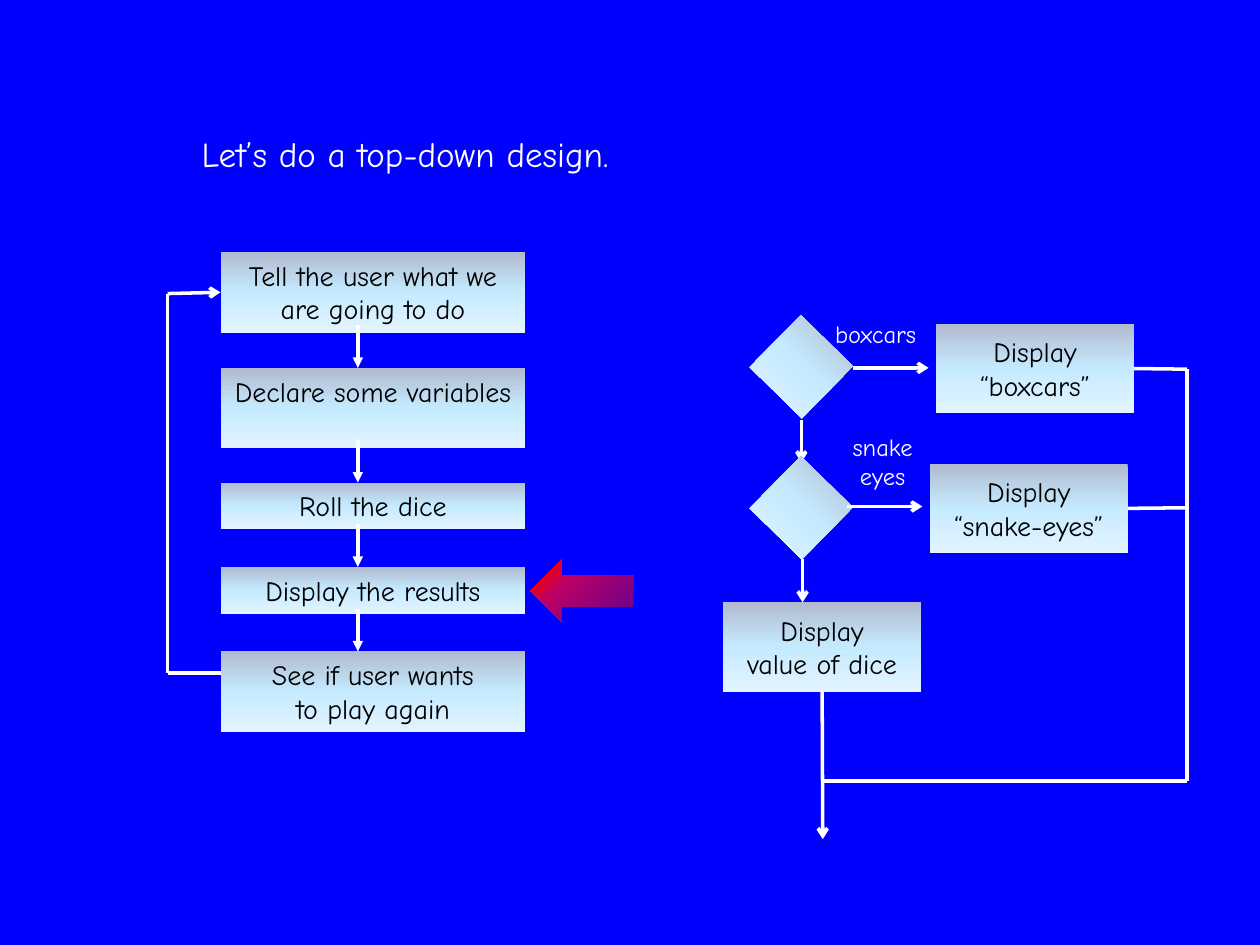
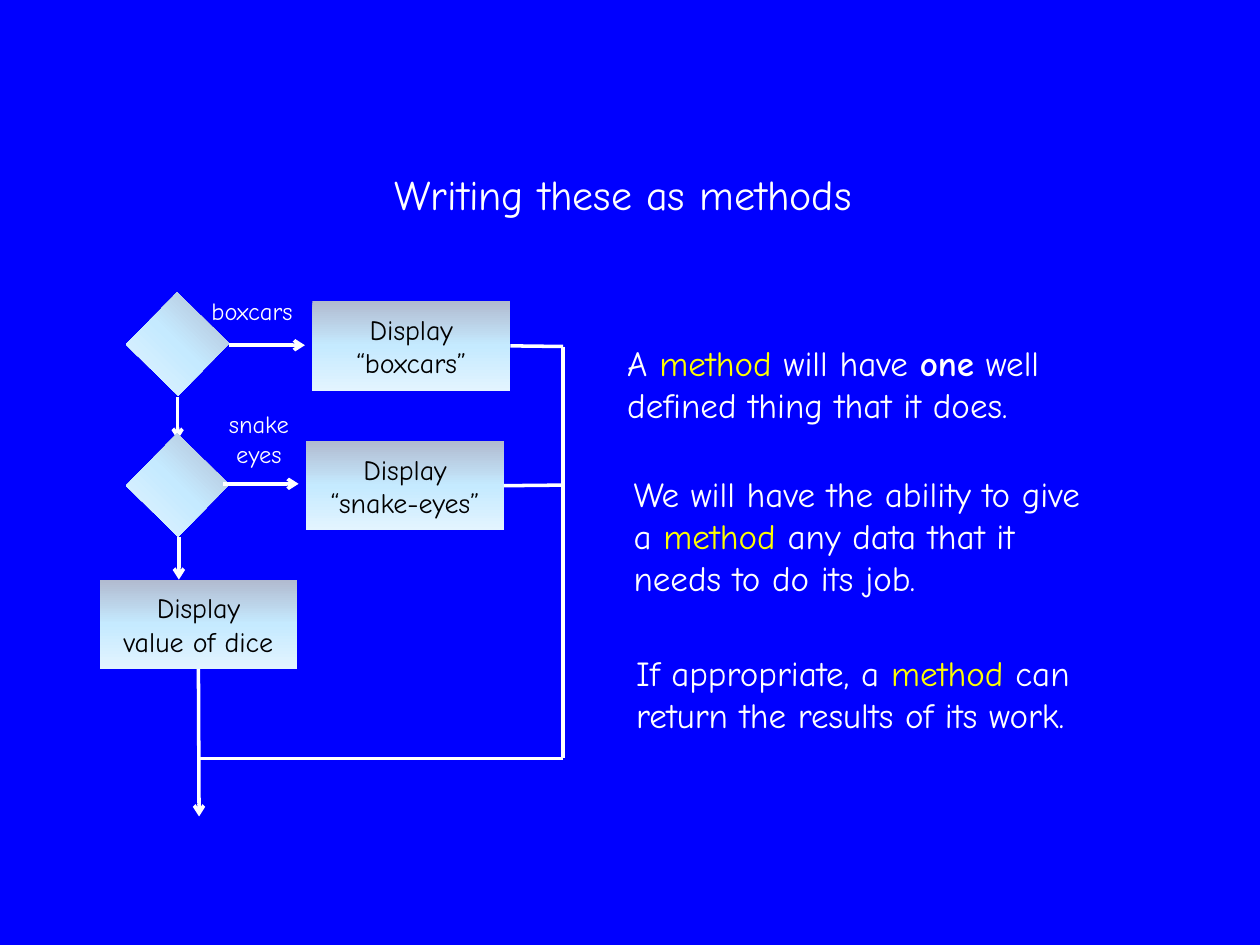
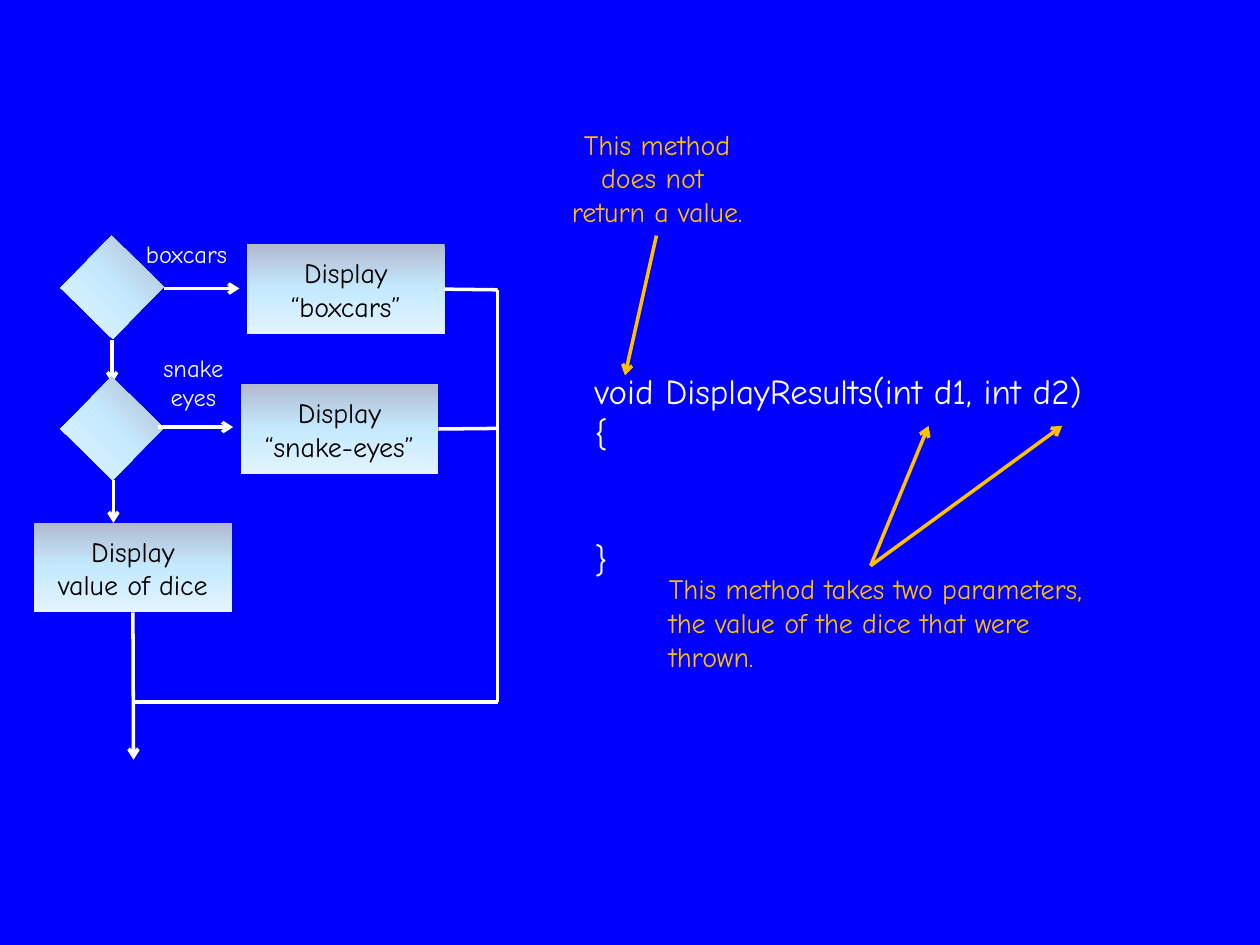
"""Build three slides that lead from a dice game flowchart to its methods."""
import pptx
import pptx.dml.color
import pptx.enum.shapes
import pptx.enum.text
import pptx.oxml
import pptx.oxml.ns
import pptx.util
from lxml import etree

Inches = pptx.util.Inches
Pt = pptx.util.Pt
RGBColor = pptx.dml.color.RGBColor
SHAPE = pptx.enum.shapes.MSO_SHAPE
ALIGN = pptx.enum.text.PP_ALIGN
ANCHOR = pptx.enum.text.MSO_ANCHOR
AUTO_SIZE = pptx.enum.text.MSO_AUTO_SIZE
qn = pptx.oxml.ns.qn

BLUE = RGBColor(0x00, 0x00, 0xFF)
WHITE = RGBColor(0xFF, 0xFF, 0xFF)
BLACK = RGBColor(0x00, 0x00, 0x00)
YELLOW = RGBColor(0xFF, 0xFF, 0x00)
GOLD = RGBColor(0xFF, 0xC0, 0x00)
ICE = [(0, RGBColor(0xB1, 0xBA, 0xCF)), (50, RGBColor(0xC5, 0xEA, 0xFF)),
       (100, RGBColor(0xE3, 0xF4, 0xFF))]
FLAME = [(0, RGBColor(0x00, 0x00, 0x82)), (1, RGBColor(0x66, 0x00, 0x8F)),
         (65, RGBColor(0xBA, 0x00, 0x66)), (90, RGBColor(0xFF, 0x00, 0x00)),
         (100, RGBColor(0xFF, 0x82, 0x00))]
DOWNWARD = '<a:lin ang="5400000" scaled="1"/>'
FROM_CORNER = '<a:path path="circle"><a:fillToRect l="100000" t="100000"/></a:path>'
TITLE_ONLY, BLANK = 5, 6


class Deck:
    """Hold the shared style and the current slide."""

    font = {"name": "Comic Neue", "bold": False}
    grow = {"word_wrap": False, "auto_size": AUTO_SIZE.SHAPE_TO_FIT_TEXT,
            "vertical_anchor": ANCHOR.TOP}

    def __init__(self):
        self.prs = pptx.Presentation()
        self.prs.slide_width, self.prs.slide_height = Inches(10), Inches(7.5)
        fill = self.prs.slide_master.background.fill
        fill.solid()
        fill.fore_color.rgb = BLUE
        self.slide = None

    def new_slide(self, layout):
        self.slide = self.prs.slides.add_slide(self.prs.slide_layouts[layout])

    def add_words(self, frame, paragraphs, size, color, align=ALIGN.LEFT):
        for index, content in enumerate(paragraphs):
            paragraph = frame.add_paragraph() if index else frame.paragraphs[0]
            paragraph.alignment = align
            pieces = [(content, {})] if isinstance(content, str) else content
            for text, changes in pieces:
                run = paragraph.add_run()
                run.text = text
                values = {**self.font, "size": Pt(size), "color": color, **changes}
                run.font.color.rgb = values.pop("color")
                for key, value in values.items():
                    setattr(run.font, key, value)

    def fill_box(self, box, paragraphs, size, color, align):
        for key, value in self.grow.items():
            setattr(box.text_frame, key, value)
        self.add_words(box.text_frame, paragraphs, size, color, align)
        return box

    def title(self, place, text, size):
        title = self.slide.shapes.title
        for key, value in zip(("left", "top", "width", "height"), place):
            setattr(title, key, Inches(value))
        self.fill_box(title, [text], size, WHITE, ALIGN.LEFT)

    def text(self, place, paragraphs, size=20, color=WHITE, align=ALIGN.LEFT):
        box = self.slide.shapes.add_textbox(*map(Inches, place))
        return self.fill_box(box, paragraphs, size, color, align)

    def shape(self, kind, place, stops=ICE, direction=DOWNWARD, rotation=0):
        shape = self.slide.shapes.add_shape(kind, *map(Inches, place))
        shape.shadow.inherit = False
        shape.rotation = rotation
        shape.line.fill.background()
        shape.fill.background()
        colors = "".join(f'<a:gs pos="{pos * 1000}"><a:srgbClr val="{color}"/></a:gs>'
                         for pos, color in stops)
        gradient = pptx.oxml.parse_xml(
            f'<a:gradFill {pptx.oxml.ns.nsdecls("a")} rotWithShape="1">'
            f'<a:gsLst>{colors}</a:gsLst>{direction}</a:gradFill>')
        properties = shape.element.spPr
        properties.replace(properties.find(qn("a:noFill")), gradient)
        return shape

    def box(self, place, paragraphs, anchor=ANCHOR.MIDDLE):
        box = self.shape(SHAPE.RECTANGLE, place)
        box.text_frame.word_wrap = True
        box.text_frame.vertical_anchor = anchor
        self.add_words(box.text_frame, paragraphs, 16, BLACK, ALIGN.CENTER)
        return box

    def line(self, start, end, head=None, color=WHITE, begin=None, finish=None):
        line = self.slide.shapes.add_connector(
            pptx.enum.shapes.MSO_CONNECTOR.STRAIGHT, *map(Inches, (*start, *end)))
        line.line.color.rgb = color
        line.line.width = Pt(2)
        properties = line.element.spPr
        if head:
            etree.SubElement(properties.find(qn("a:ln")), qn("a:tailEnd"), type=head)
        etree.SubElement(properties, qn("a:effectLst"))
        if begin:
            line.begin_connect(*begin)
        if finish:
            line.end_connect(*finish)

    def results_flow(self, left, top):
        """Draw the dice decisions with their top-left corner at left, top."""
        def at(x, y, *size):
            return (left + x, top + y, *size)

        def decision(y):
            self.shape(SHAPE.RECTANGLE, at(0.33, y, 0.58, 0.58), rotation=44.4)

        def display(x, y, text):
            return self.box(at(x, y, 1.57, 0.71), ["Display", text])

        decision(0.05)
        self.line(at(0.62, 0.76), at(0.62, 1.1), "arrow")
        decision(1.17)
        self.text(at(0.79, -0.09, 0.93, 0.34), ["boxcars"], 14)
        self.text(at(0.91, 0.81, 0.71, 0.57), ["snake", "eyes"], 14, align=ALIGN.CENTER)
        boxcars = display(1.69, 0, "“boxcars”")
        snake_eyes = display(1.64, 1.11, "“snake-eyes”")
        dice_value = display(0, 2.21, "value of dice")
        for start, end in (((1.03, 0.35), (1.63, 0.35)), ((0.98, 1.45), (1.58, 1.45)),
                           ((0.63, 1.87), (0.63, 2.21))):
            self.line(at(*start), at(*end), "arrow")
        for outcome, x, y in ((boxcars, 3.26, 0.36), (snake_eyes, 3.21, 1.46)):
            self.line(at(x, y), at(3.68, y), begin=(outcome, 3))
        self.line(at(3.68, 0.36), at(3.68, 3.63))
        self.line(at(3.68, 3.63), at(0.79, 3.63))
        self.line(at(0.79, 2.92), at(0.79, 4.09), "arrow", begin=(dice_value, 2))


def design_slide(deck):
    deck.new_slide(TITLE_ONLY)
    deck.title((1.5, 1, 3.72, 0.44), "Let’s do a top-down design.", 20)
    steps = [
        (2, 0.64, ["Tell the user what we are going to do"]),
        (2.92, 0.64, ["Declare some variables"]),
        (3.83, 0.37, ["Roll the dice"]),
        (4.5, 0.37, ["Display the results"]),
        (5.17, 0.64, ["See if user wants", "to play again"]),
    ]
    boxes = [deck.box((1.75, top, 2.42, height), words, ANCHOR.TOP)
             for top, height, words in steps]
    for top, _, _ in steps[1:]:
        deck.line((2.84, top - 0.34), (2.84, top), "triangle")
    deck.line((1.75, 5.34), (1.33, 5.34))
    deck.line((1.33, 5.34), (1.33, 2.33))
    deck.line((1.33, 2.33), (1.75, 2.32), "arrow", finish=(boxes[0], 1))
    deck.shape(SHAPE.RIGHT_ARROW, (4.21, 4.44, 0.82, 0.5), FLAME, FROM_CORNER, 180)
    deck.results_flow(5.74, 2.57)


def methods_slide(deck):
    deck.new_slide(TITLE_ONLY)
    deck.title((3.03, 1.29, 4.27, 0.5), "Writing these as methods", 24)
    deck.results_flow(0.79, 2.39)
    method = ("method", {"color": YELLOW})
    deck.text((4.88, 2.66, 3.86, 0.77), [
        [("A ", {}), method, (" will have ", {}), ("one", {"bold": True}), (" well", {})],
        "defined thing that it does."])
    deck.text((4.93, 3.7, 4.24, 1.11), [
        "We will have the ability to give",
        [("a ", {}), method, (" any data that it", {})],
        "needs to do its job."])
    deck.text((4.95, 5.12, 4.21, 0.77), [
        [("If appropriate, a ", {}), method, (" can", {})],
        "return the results of its work."])


def signature_slide(deck):
    deck.new_slide(BLANK)
    deck.results_flow(0.27, 1.94)
    code = deck.text((4.62, 2.88, 4.59, 1.78),
                     ["void DisplayResults(int d1, int d2)", "{", "}"])
    code.text_frame.paragraphs[-1].space_before = Pt(48)
    deck.text((4.36, 0.96, 1.71, 0.91), ["This method", "does not ", "return a value."],
              16, GOLD, ALIGN.CENTER)
    deck.text((5.21, 4.49, 3.91, 0.91),
              ["This method takes two parameters,", "the value of the dice that were",
               "thrown."], 16, GOLD)
    deck.line((5.21, 1.87), (4.96, 2.98), "arrow", GOLD)
    for parameter_x in (7.37, 8.43):
        deck.line((6.91, 4.49), (parameter_x, 3.38), "arrow", GOLD)


def main():
    deck = Deck()
    for build in (design_slide, methods_slide, signature_slide):
        build(deck)
    deck.prs.save("out.pptx")


if __name__ == "__main__":
    main()
